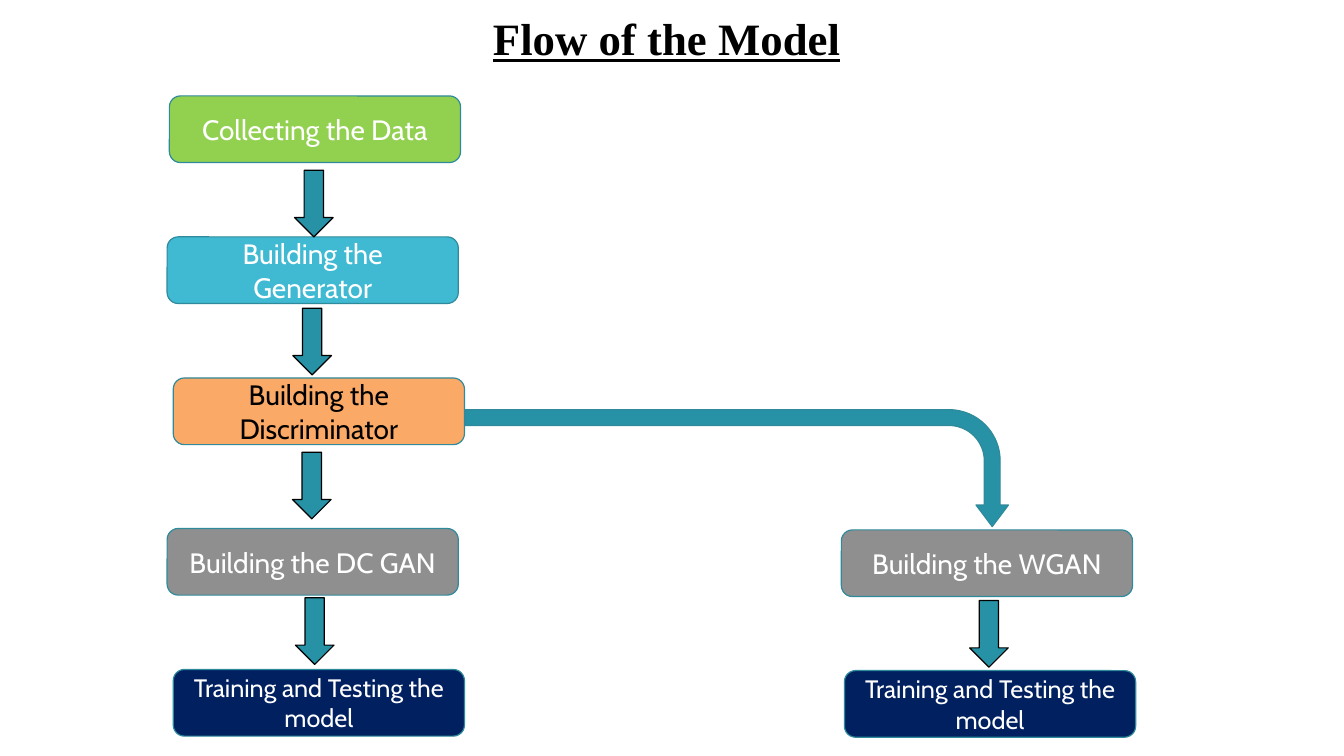
from pptx import Presentation
from pptx.dml.color import RGBColor
from pptx.enum.shapes import MSO_SHAPE
from pptx.enum.text import MSO_ANCHOR, PP_ALIGN
from pptx.util import Pt

ROUNDED = MSO_SHAPE.ROUNDED_RECTANGLE
DOWN_ARROW = MSO_SHAPE.DOWN_ARROW
BENT_ARROW = MSO_SHAPE.BENT_ARROW
CENTER = PP_ALIGN.CENTER
MIDDLE = MSO_ANCHOR.MIDDLE

TEAL, OUTLINE = "2791A6", "2F8A9B"
WHITE, BLACK = "FFFFFF", "000000"
GREEN, BLUE, ORANGE = "92D050", "40BAD2", "FAA966"
GRAY, NAVY = "8F8F8F", "002060"

STEP_WIDTH, STEP_HEIGHT = 208, 47.6
ARROW_WIDTH, ARROW_HEIGHT = 27.6, 47.6

# left, top, label, fill, text size, text colour
STEPS = [
    (121, 68.5, "Collecting the Data", GREEN, 20, WHITE),
    (119.4, 169.2, "Building the Generator", BLUE, 20, WHITE),
    (123.8, 270, "Building the Discriminator", ORANGE, 20, BLACK),
    (119.4, 377.5, "Building the DC GAN", GRAY, 20, WHITE),
    (123.8, 478.2, "Training and Testing the model", NAVY, 18, WHITE),
    (601, 378.5, "Building the WGAN", GRAY, 20, WHITE),
    (603.2, 479, "Training and Testing the model", NAVY, 18, WHITE),
]

# left, top
DOWN_ARROWS = [(210.4, 121.6), (209.2, 220.2), (208.9, 323), (211, 427),
               (692.6, 429)]


def color(hex_value):
    """Turn a hex string into a colour."""
    return RGBColor.from_string(hex_value)


def add_block(slide, kind, box, fill, line):
    """Add a filled, thinly outlined preset shape without a shadow."""
    shape = slide.shapes.add_shape(kind, *(Pt(length) for length in box))
    shape.shadow.inherit = False
    shape.fill.solid()
    shape.fill.fore_color.rgb = color(fill)
    shape.line.color.rgb = color(line)
    shape.line.width = Pt(0.85)
    return shape


def write(shape, text, size, font_name, text_color):
    """Write one centred, wrapped paragraph and return it."""
    shape.text_frame.word_wrap = True
    paragraph = shape.text_frame.paragraphs[0]
    paragraph.text = text
    paragraph.alignment = CENTER
    paragraph.font.size = Pt(size)
    paragraph.font.name = font_name
    paragraph.font.color.rgb = color(text_color)
    return paragraph


def add_title(slide, text):
    """Add the underlined heading."""
    title = slide.shapes.add_textbox(Pt(108.7), Pt(8.6), Pt(735), Pt(56))
    paragraph = write(title, text, 32, "Times New Roman", BLACK)
    paragraph.line_spacing = 0.9
    paragraph.font.bold = True
    paragraph.font.underline = True


def add_step(slide, left, top, label, fill, size, text_color):
    """Add one labelled step of the flow."""
    box = (left, top, STEP_WIDTH, STEP_HEIGHT)
    step = add_block(slide, ROUNDED, box, fill, OUTLINE)
    frame = step.text_frame
    frame.vertical_anchor = MIDDLE
    frame.margin_left = frame.margin_right = Pt(9)
    write(step, label, size, "Cabin", text_color)


def add_down_arrow(slide, left, top):
    """Add an arrow from one step to the next."""
    box = (left, top, ARROW_WIDTH, ARROW_HEIGHT)
    add_block(slide, DOWN_ARROW, box, TEAL, BLACK)


def add_branch_arrow(slide):
    """Add the bent arrow from the discriminator to the WGAN."""
    arrow = add_block(slide, BENT_ARROW, (484.6, 140.4, 83.5, 388), TEAL, OUTLINE)
    arrow.rotation = 90
    for index, value in enumerate((0.135, 0.139, 0.184, 0.438)):
        arrow.adjustments[index] = value


def main():
    """Build and save the slide."""
    presentation = Presentation()
    presentation.slide_width = Pt(960)
    presentation.slide_height = Pt(540)
    slide = presentation.slides.add_slide(presentation.slide_layouts[6])
    add_title(slide, "Flow of the Model")
    for step in STEPS:
        add_step(slide, *step)
    for position in DOWN_ARROWS:
        add_down_arrow(slide, *position)
    add_branch_arrow(slide)
    presentation.save("out.pptx")


main()
